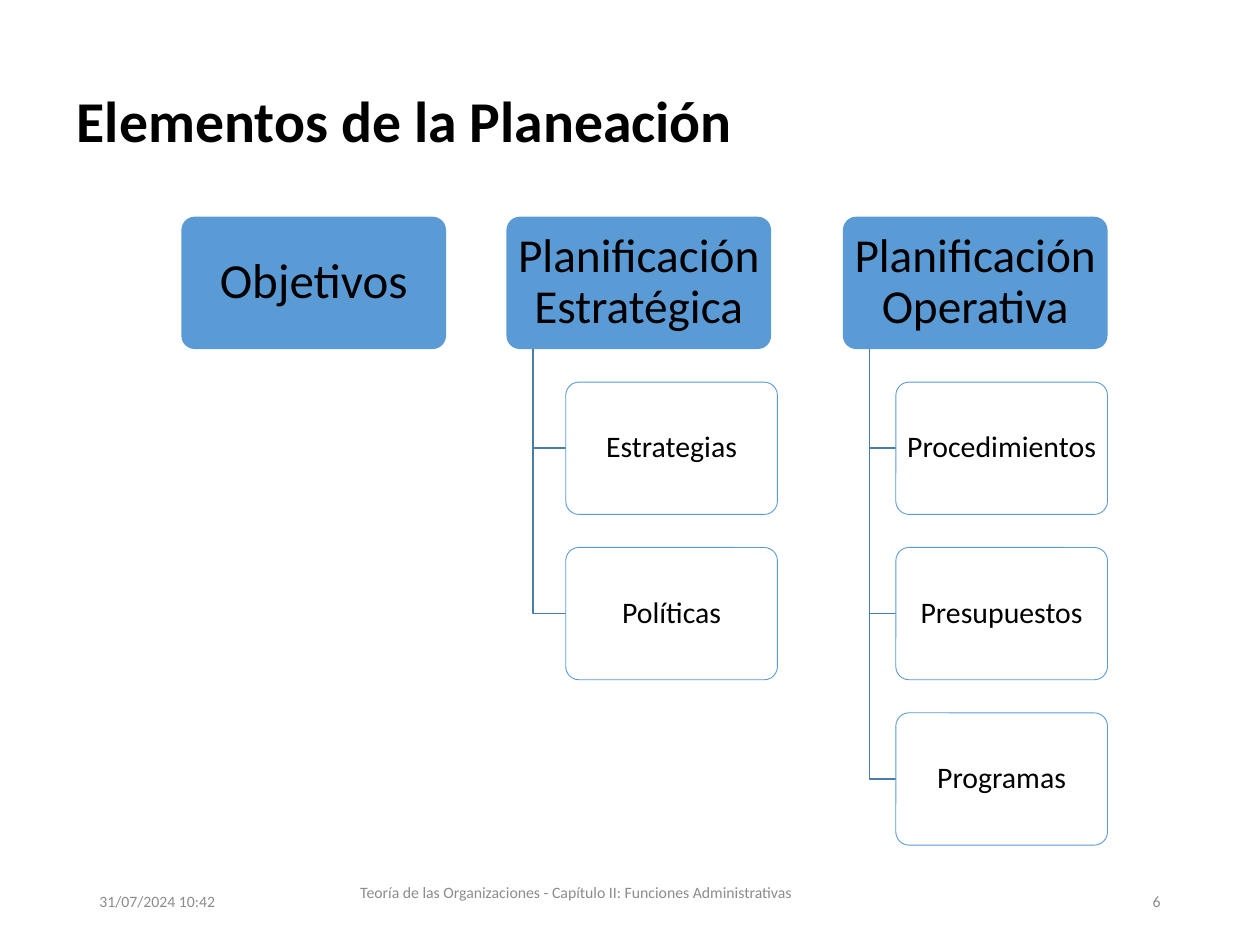
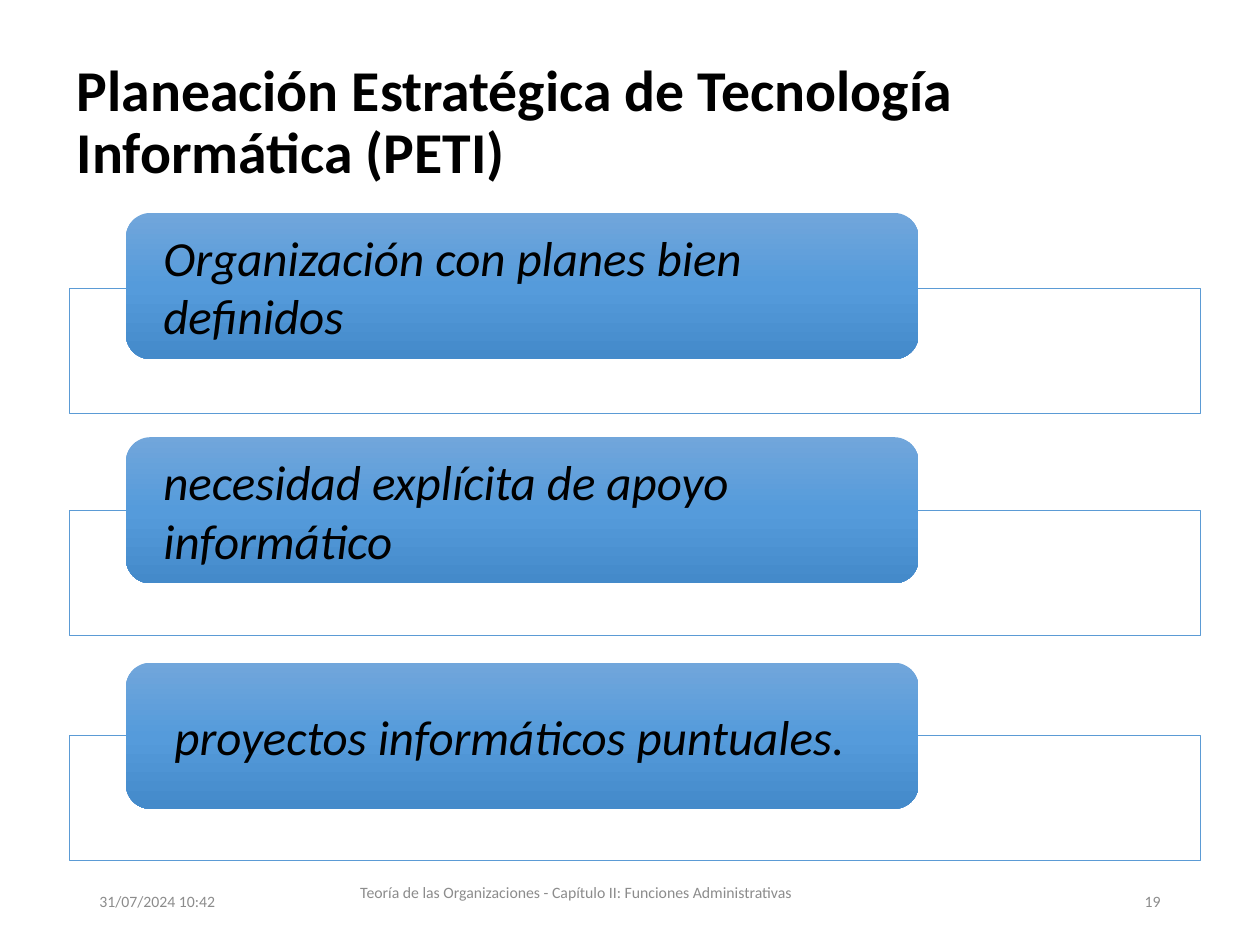
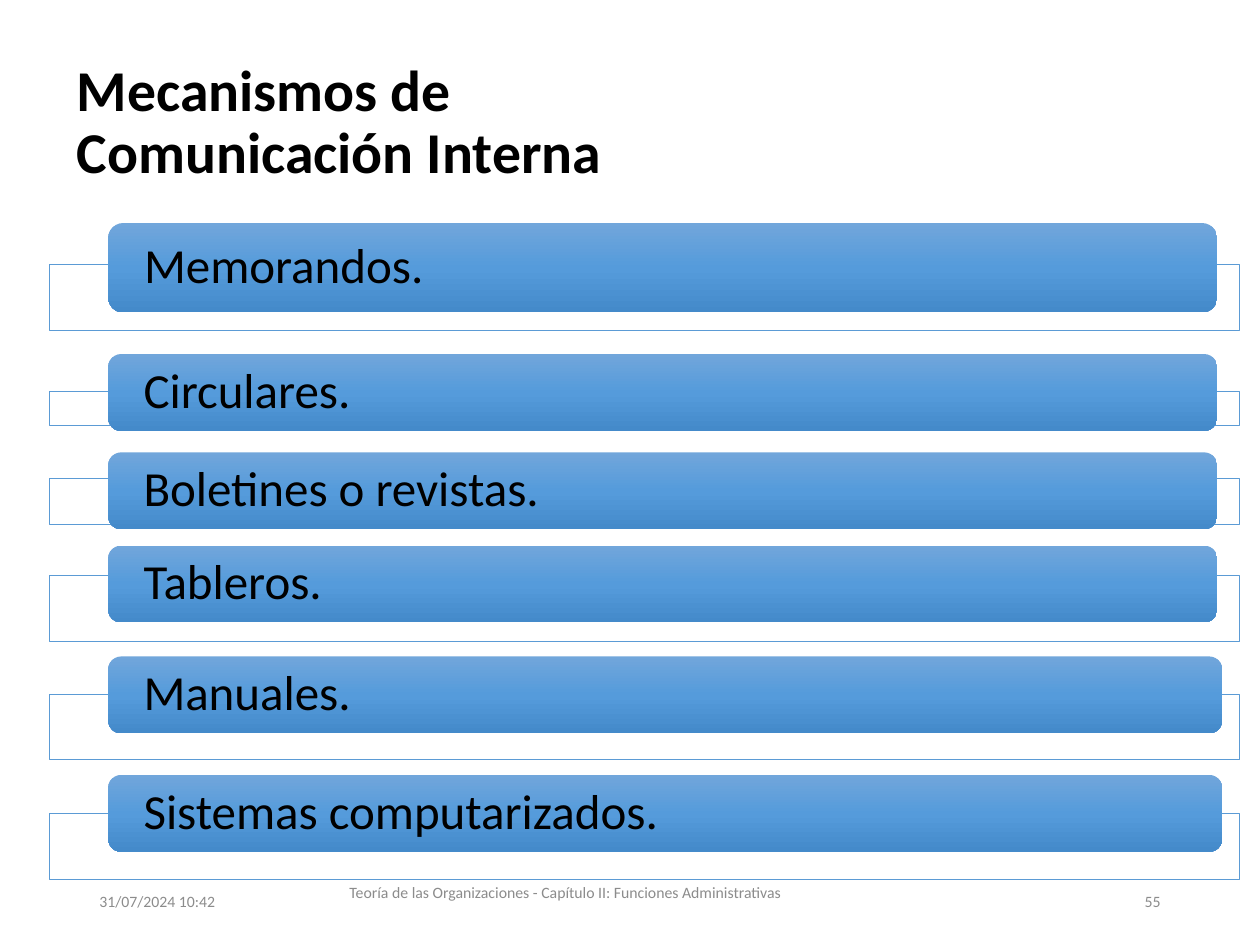
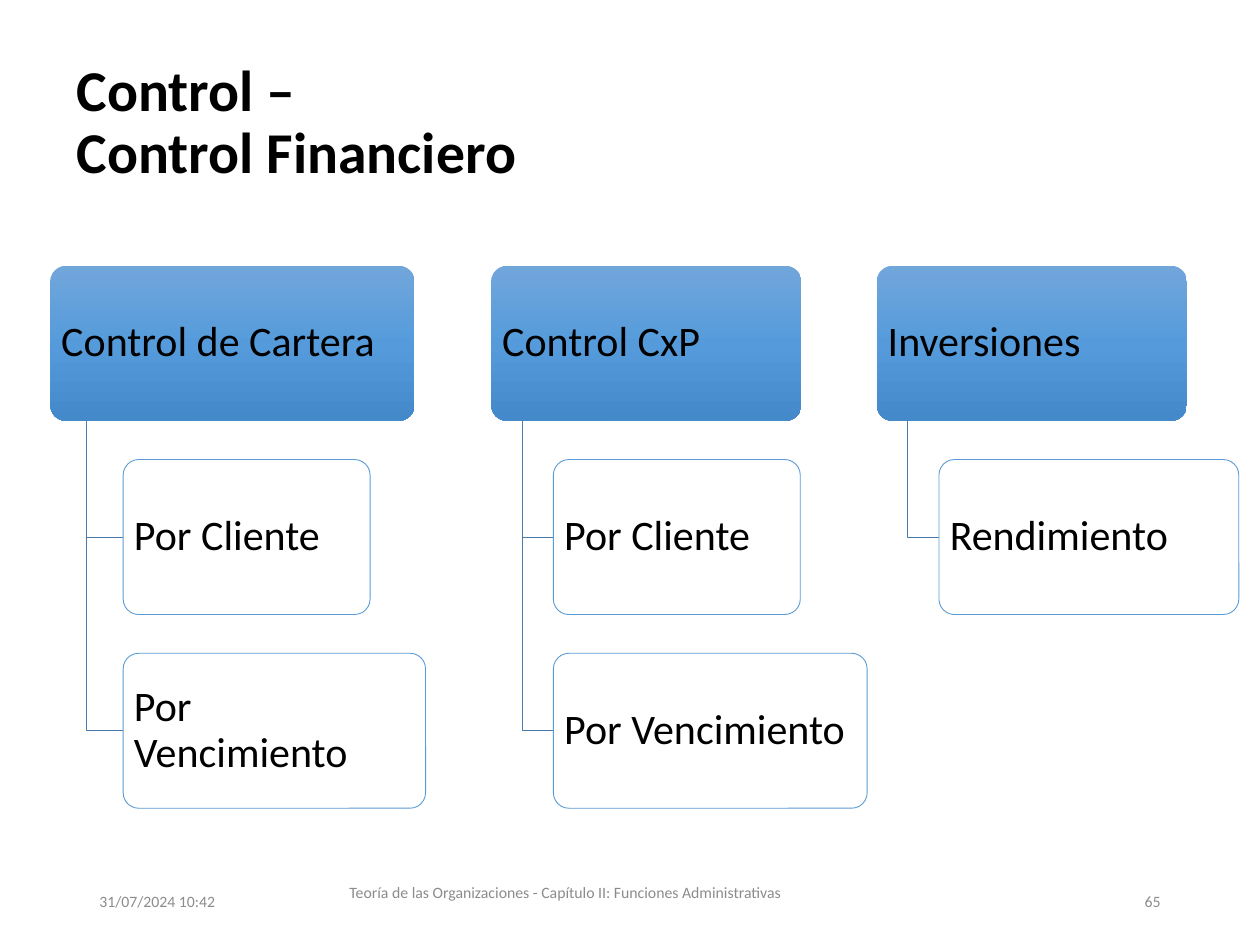
import copy
from dataclasses import dataclass

import lxml.etree
import pptx
import pptx.dml.color
import pptx.enum.dml
import pptx.enum.shapes
import pptx.enum.text
import pptx.oxml.ns
import pptx.util

Inches = pptx.util.Inches
Align = pptx.enum.text.PP_ALIGN
Preset = pptx.enum.shapes.MSO_SHAPE
qn = pptx.oxml.ns.qn


@dataclass(frozen=True)
class Theme:
    font: str = "Calibri"
    text: str = "000000"
    muted: str = "8C8C8C"
    white: str = "FFFFFF"
    accent: str = "5B9BD5"
    link: str = "497CAB"
    gradient: tuple = ((0, "71A6DB"), (0.5, "559BDB"), (1, "448ACA"))
    title_size: int = 33
    large_size: int = 28
    tight_size: int = 27
    medium_size: int = 24
    small_size: int = 17
    footer_size: int = 9
    outline: float = 0.5
    opacity: int = 90


THEME = Theme()
TITLE_BOX = (0.51, 0.36, 9, 1.25)
DATE_BOX = (0.69, 6.95, 2.25, 0.4)
NUMBER_BOX = (7.06, 6.95, 2.25, 0.4)
DATE = "31/07/2024 10:42"
FOOTER = "Teoría de las Organizaciones - Capítulo II: Funciones Administrativas"

PLANNING_TREE = {
    "top": 1.72, "height": 1.05, "align": Align.CENTER, "gradient": False,
    "leaf_size": THEME.small_size, "link_width": 1, "inset": (0.05, 0.03),
    "columns": [
        {"head": "Objetivos", "size": THEME.large_size, "left": 1.44, "width": 2.1,
         "leaves": []},
        {"head": "Planificación Estratégica", "size": THEME.tight_size, "left": 4.02,
         "width": 2.1, "leaf_left": 4.49,
         "leaves": [("Estrategias", 1.68), ("Políticas", 1.68)]},
        {"head": "Planificación Operativa", "size": THEME.tight_size, "left": 6.69,
         "width": 2.1,
         "leaves": [("Procedimientos", 1.68), ("Presupuestos", 1.68), ("Programas", 1.68)]},
    ],
}

FINANCE_TREE = {
    "top": 2.11, "height": 1.23, "align": Align.LEFT, "gradient": True,
    "leaf_size": THEME.medium_size, "link_width": 0.5, "inset": (0.05, 0.03),
    "columns": [
        {"head": "Control de Cartera", "size": THEME.medium_size, "left": 0.4,
         "width": 2.89, "leaves": [("Por Cliente", 1.96), ("Por Vencimiento", 2.4)]},
        {"head": "Control CxP", "size": THEME.medium_size, "left": 3.9,
         "width": 2.46, "leaves": [("Por Cliente", 1.96), ("Por Vencimiento", 2.49)]},
        {"head": "Inversiones", "size": THEME.medium_size, "left": 6.96,
         "width": 2.46, "leaves": [("Rendimiento", 2.38)]},
    ],
}

PETI_BANDS = {
    "frame_left": 0.55, "frame_width": 8.98, "pill_left": 1, "inset": 0.24,
    "italic": True, "spacing": 1,
    "rows": [
        ("Organización con planes bien definidos", 2.29, 0.99, 1.69, 6.29, 1.16),
        ("necesidad explícita de apoyo informático", 4.05, 0.99, 3.47, 6.29, 1.16),
        (" proyectos informáticos puntuales.", 5.84, 0.99, 5.26, 6.29, 1.16),
    ],
}

COMMUNICATION_BANDS = {
    "frame_left": 0.39, "frame_width": 9.45, "pill_left": 0.86, "inset": 0.25,
    "italic": False, "spacing": 0.9,
    "rows": [
        ("Memorandos.", 2.1, 0.52, 1.77, 8.8, 0.71),
        ("Circulares.", 3.11, 0.27, 2.81, 8.8, 0.61),
        ("Boletines o revistas.", 3.8, 0.36, 3.59, 8.8, 0.61),
        ("Tableros.", 4.57, 0.52, 4.33, 8.8, 0.61),
        ("Manuales.", 5.51, 0.52, 5.21, 8.84, 0.61),
        ("Sistemas computarizados.", 6.46, 0.52, 6.15, 8.84, 0.61),
    ],
}


def color(value):
    return pptx.dml.color.RGBColor.from_string(value)


def place(box):
    return [Inches(value) for value in box]


def write(shape, text, size, align=Align.LEFT, ink=THEME.text, bold=False,
          italic=False, spacing=None, inset=None):
    frame = shape.text_frame
    frame.text = text
    frame.word_wrap = True
    frame.auto_size = pptx.enum.text.MSO_AUTO_SIZE.NONE
    frame.vertical_anchor = pptx.enum.text.MSO_ANCHOR.MIDDLE
    if inset:
        frame.margin_left = frame.margin_right = Inches(inset[0])
        frame.margin_top = frame.margin_bottom = Inches(inset[1])
    paragraph = frame.paragraphs[0]
    paragraph.alignment = align
    paragraph.line_spacing = spacing
    for run in paragraph.runs:
        run.font.name = THEME.font
        run.font.size = pptx.util.Pt(size)
        run.font.bold = bold
        run.font.italic = italic
        run.font.color.rgb = color(ink)
    for line_break in paragraph._p.findall(qn("a:br")):
        lxml.etree.SubElement(line_break, qn("a:rPr"), sz=str(size * 100))


def add_box(slide, preset, box, corner=None):
    shape = slide.shapes.add_shape(preset, *place(box))
    shape.shadow.inherit = False
    if corner is not None:
        shape.adjustments[0] = corner
    return shape


def fill_solid(shape):
    shape.fill.solid()
    shape.fill.fore_color.rgb = color(THEME.accent)
    shape.line.fill.background()


def fill_gradient(shape):
    shape.fill.gradient()
    shape.fill.gradient_angle = 270
    stop_list = shape._element.spPr.find(".//" + qn("a:gsLst"))
    stop_list.append(copy.deepcopy(stop_list[-1]))
    for stop, (position, value) in zip(shape.fill.gradient_stops, THEME.gradient):
        stop.position = position
        stop.color.rgb = color(value)
    shape.line.fill.background()


def fill_outlined(shape):
    shape.fill.solid()
    shape.fill.fore_color.rgb = color(THEME.white)
    fill_color = shape._element.spPr.find(qn("a:solidFill"))[0]
    lxml.etree.SubElement(fill_color, qn("a:alpha"), val=str(THEME.opacity * 1000))
    shape.line.color.rgb = color(THEME.accent)
    shape.line.width = pptx.util.Pt(THEME.outline)


def add_link(slide, stem, top, end, middle, width):
    builder = slide.shapes.build_freeform(Inches(stem), Inches(top))
    builder.add_line_segments(
        [(Inches(stem), Inches(middle)), (Inches(end), Inches(middle))], close=False)
    link = builder.convert_to_shape()
    link.shadow.inherit = False
    link.fill.background()
    link.line.color.rgb = color(THEME.link)
    link.line.width = pptx.util.Pt(width)


def draw_tree(slide, tree):
    top, height = tree["top"], tree["height"]
    style = {"align": tree["align"], "spacing": 0.9, "inset": tree["inset"]}
    for column in tree["columns"]:
        left, width = column["left"], column["width"]
        head = add_box(slide, Preset.ROUNDED_RECTANGLE, (left, top, width, height), 0.1)
        (fill_gradient if tree["gradient"] else fill_solid)(head)
        write(head, column["head"], column["size"], **style)
        leaf_left = column.get("leaf_left", left + 0.2 * width)
        for row, (label, leaf_width) in enumerate(column["leaves"], 1):
            leaf_top = top + row * 1.25 * height
            add_link(slide, left + 0.1 * width, top + height, leaf_left,
                     leaf_top + height / 2, tree["link_width"])
            leaf = add_box(slide, Preset.ROUNDED_RECTANGLE,
                           (leaf_left, leaf_top, leaf_width, height), 0.1)
            fill_outlined(leaf)
            write(leaf, label, tree["leaf_size"], **style)


def draw_bands(slide, bands):
    for label, frame_top, frame_height, pill_top, pill_width, pill_height in bands["rows"]:
        frame = add_box(slide, Preset.RECTANGLE, (
            bands["frame_left"], frame_top, bands["frame_width"], frame_height))
        fill_outlined(frame)
        pill = add_box(slide, Preset.ROUNDED_RECTANGLE, (
            bands["pill_left"], pill_top, pill_width, pill_height))
        fill_gradient(pill)
        write(pill, label, THEME.large_size, italic=bands["italic"],
              spacing=bands["spacing"], inset=(bands["inset"], 0))


def add_title(slide, text):
    title = slide.shapes.title
    title.left, title.top, title.width, title.height = place(TITLE_BOX)
    write(title, text, THEME.title_size, bold=True, spacing=0.9)


def add_footers(slide, number, footer_box):
    for text, box, align in (
        (DATE, DATE_BOX, Align.LEFT),
        (FOOTER, footer_box, Align.CENTER),
        (str(number), NUMBER_BOX, Align.RIGHT),
    ):
        write(slide.shapes.add_textbox(*place(box)), text, THEME.footer_size,
              align, THEME.muted)


WIDE_FOOTER = (1.87, 6.83, 5.23, 0.5)
NARROW_FOOTER = (2.03, 6.83, 5.08, 0.5)
SLIDES = [
    ("Elementos de la Planeación", 6, NARROW_FOOTER, draw_tree, PLANNING_TREE),
    ("Planeación Estratégica de Tecnología Informática (PETI)", 19, NARROW_FOOTER,
     draw_bands, PETI_BANDS),
    ("Mecanismos de \vComunicación Interna", 55, WIDE_FOOTER,
     draw_bands, COMMUNICATION_BANDS),
    ("Control – \vControl Financiero", 65, WIDE_FOOTER, draw_tree, FINANCE_TREE),
]


def main():
    presentation = pptx.Presentation()
    presentation.slide_width, presentation.slide_height = Inches(10), Inches(7.5)
    for title, number, footer_box, draw, content in SLIDES:
        slide = presentation.slides.add_slide(presentation.slide_layouts[5])
        add_title(slide, title)
        draw(slide, content)
        add_footers(slide, number, footer_box)
    presentation.save("out.pptx")


if __name__ == "__main__":
    main()
